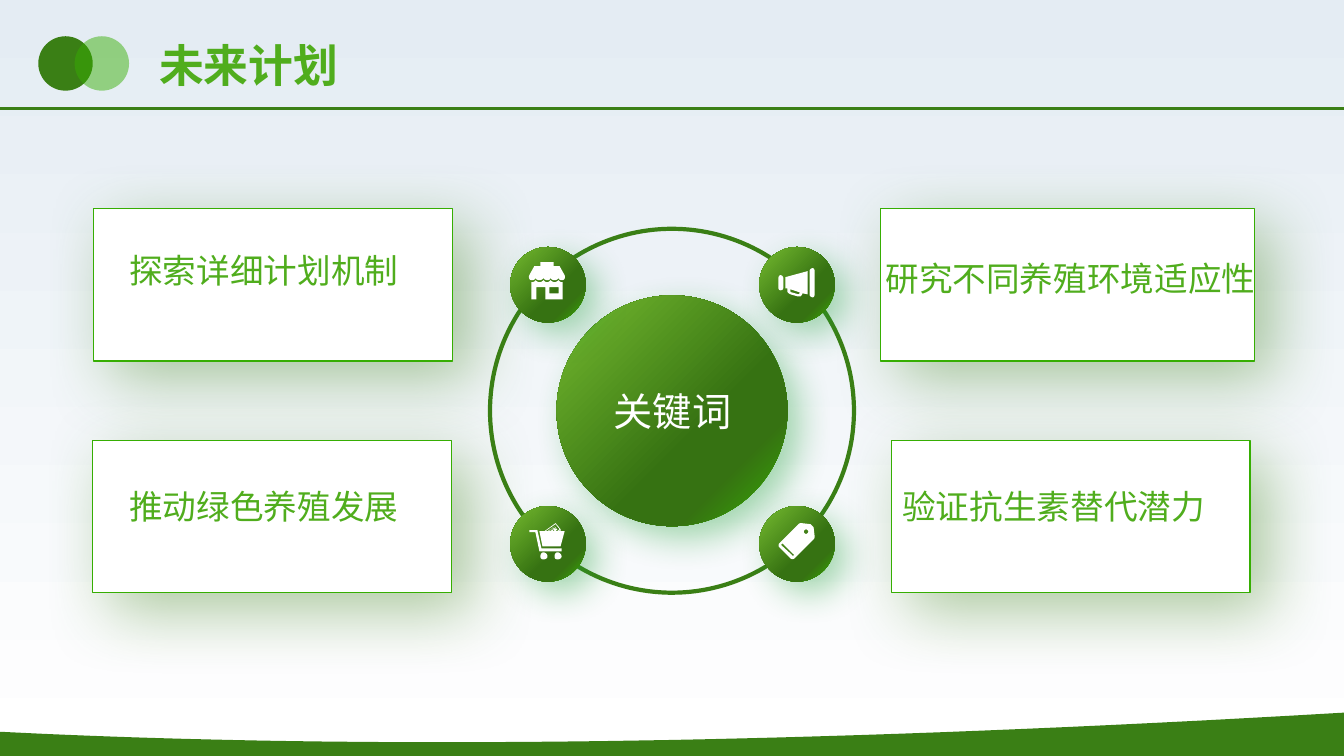
from dataclasses import dataclass
from typing import Optional

import pptx
import pptx.dml.color
import pptx.enum.shapes
import pptx.enum.text
import pptx.oxml.ns
import pptx.util
from lxml import etree
from pptx.util import Inches

OVAL = pptx.enum.shapes.MSO_SHAPE.OVAL
RECT = pptx.enum.shapes.MSO_SHAPE.RECTANGLE
ALIGN = pptx.enum.text.PP_ALIGN
qn = pptx.oxml.ns.qn


@dataclass(frozen=True)
class Theme:
    font: str = "Noto Sans CJK SC"
    dark: str = "3A7F15"
    bright: str = "36AE02"
    text: str = "50AD1D"
    white: str = "FFFFFF"
    sky: str = "E4ECF3"
    ball: tuple = ((0, "76BC30"), (60, "367212"), (76, "367212"), (100, "36AE02"))
    title: int = 32
    hub: int = 28
    body: int = 24


@dataclass(frozen=True)
class Shade:
    color: str
    blur: int
    dist: int


@dataclass(frozen=True)
class Card:
    left: float
    top: float
    width: float
    label: str
    text_left: float
    text_top: float
    text_width: float


@dataclass(frozen=True)
class Icon:
    """Rings are closed outlines in hundredths of an inch from left, top."""
    left: float
    top: float
    color: str
    rings: tuple


THEME = Theme()
GLOW = Shade("22A13A", 25, 12)
DROP = Shade(THEME.dark, 48, 18)

CARDS = (
    Card(0.93, 2.07, 3.56, "探索详细计划机制", 1.28, 2.48, 2.67),
    Card(0.92, 4.37, 3.56, "推动绿色养殖发展", 1.28, 4.82, 2.67),
    Card(8.73, 2.07, 3.71, "研究不同养殖环境适应性", 8.78, 2.56, 3.67),
    Card(8.84, 4.37, 3.56, "验证抗生素替代潜力", 8.95, 4.82, 3),
)

WAVE = Icon(0, 7.07, THEME.dark, (
    "1333 0 L 1333 43 0 43 0 19 C 278 33 688 38 1333 0",))
SHOP = Icon(5.24, 2.6, THEME.white, (
    "21 25 L 21 31 30 31 30 25",
    "7 18 C 8 19 10 20 11 20 13 20 14 19 15 18 16 19 17 20 19 20 "
    "20 20 21 19 22 18 23 19 25 20 26 20 27 20 29 19 30 18 31 19 32 20 33 20 "
    "L 34 20 34 37 17 37 17 25 8 25 8 37 3 37 3 20 4 20 C 5 20 7 19 7 18",
    "12 0 L 25 0 25 4 31 4 36 13 C 37 15 36 18 34 18 L 33 18 "
    "C 31 18 30 17 30 15 30 17 28 18 26 18 24 18 22 17 22 15 22 17 21 18 19 18 "
    "17 18 15 17 15 15 15 17 13 18 11 18 9 18 7 17 7 15 7 17 6 18 4 18 "
    "L 3 18 C 1 18 0 15 1 13 L 6 4 12 4"))
CART = Icon(5.25, 5.19, THEME.white, (
    "12 25 L 32 25 32 28 10 28 6 9 0 9 0 7 8 7",
    "14 29 C 12 29 11 31 11 33 11 35 12 36 14 36 16 36 18 35 18 33 18 31 16 29 14 29",
    "28 29 C 26 29 25 31 25 33 25 35 26 36 28 36 30 36 32 35 32 33 32 31 30 29 28 29",
    "13 23 L 10 8 15 8 26 0 31 6 31 8 35 8 31 23",
    "30 7 L 29 8 30 8",
    "16 8 L 19 8 19 7 20 8 20 6 21 8 22 8 21 6 23 8 22 5 24 8 25 8 23 5 23 4 "
    "26 8 28 8 30 6 26 1",
    "28 7 L 25 3 27 7",
    "27 7 L 24 4 26 8"))
TAG = Icon(7.72, 5.19, THEME.white, (
    "36 13 L 35 4 C 34 3 33 2 32 1 L 23 0 C 22 0 21 0 20 1 L 1 20 "
    "C 0 21 0 23 1 24 L 12 35 C 13 36 15 36 16 35 L 35 16 C 36 15 36 14 36 13",
    "15 32 C 15 33 14 33 14 32 L 3 22 3 21 C 4 20 5 20 5 21 L 15 31 C 16 31 16 32 15 32",
    "29 10 C 28 11 27 11 26 10 25 9 25 8 26 7 27 6 28 6 29 7 30 8 30 9 29 10"))
HORN = Icon(7.72, 2.66, THEME.white, (
    "12 21 L 12 23 C 12 23 12 24 13 24 L 20 26 C 20 26 21 25 21 25 L 21 24",
    "2 7 C 4 7 5 9 5 10 L 5 19 C 5 21 4 22 2 22 1 22 0 21 0 19 L 0 10 C 0 9 1 7 2 7",
    "29 3 L 29 26 24 25 C 24 26 23 27 22 28 21 28 20 28 19 28 L 12 26 "
    "C 10 25 9 24 9 23 L 9 20 7 20 7 9",
    "34 0 C 35 0 36 1 36 3 L 36 26 C 36 28 35 29 34 29 33 29 31 28 31 26 "
    "L 31 3 C 31 1 33 0 34 0"))


def rgb(color: str) -> pptx.dml.color.RGBColor:
    return pptx.dml.color.RGBColor.from_string(color)


def add_node(parent, tag: str, **attrs):
    return etree.SubElement(parent, qn(tag), {k: str(v) for k, v in attrs.items()})


def add_form(slide, kind, left: float, top: float, width: float, height: float,
             fill: Optional[str] = None, line: Optional[str] = None,
             weight: float = 1, shade: Optional[Shade] = None):
    form = slide.shapes.add_shape(
        kind, Inches(left), Inches(top), Inches(width), Inches(height))
    if fill:
        form.fill.solid()
        form.fill.fore_color.rgb = rgb(fill)
    else:
        form.fill.background()
    if line:
        form.line.color.rgb = rgb(line)
        form.line.width = pptx.util.Pt(weight)
    else:
        form.line.fill.background()
    form.shadow.inherit = False
    if shade:
        outer = add_node(form._element.spPr.find(qn("a:effectLst")), "a:outerShdw",
                         blurRad=pptx.util.Pt(shade.blur), dist=pptx.util.Pt(shade.dist),
                         dir=45 * 60000, algn="tl", rotWithShape=0)
        tint = add_node(outer, "a:srgbClr", val=shade.color)
        add_node(tint, "a:alpha", val=40000)
    return form


def add_ball(slide, left: float, top: float, size: float) -> None:
    """Draw a glowing disc shaded from its top left corner."""
    ball = add_form(slide, OVAL, left, top, size, size, shade=GLOW)
    ball.fill.gradient()
    grad = ball._element.spPr.find(qn("a:gradFill"))
    for child in list(grad):
        grad.remove(child)
    stops = add_node(grad, "a:gsLst")
    for pos, color in THEME.ball:
        add_node(add_node(stops, "a:gs", pos=pos * 1000), "a:srgbClr", val=color)
    add_node(add_node(grad, "a:path", path="circle"), "a:fillToRect", r=100000, b=100000)


def add_text(slide, text: str, left: float, top: float, width: float, height: float,
             size: int, color: str, align=ALIGN.LEFT, bold: bool = False,
             inset: bool = False) -> None:
    box = slide.shapes.add_textbox(
        Inches(left), Inches(top), Inches(width), Inches(height))
    frame = box.text_frame
    frame.word_wrap = False
    frame.auto_size = pptx.enum.text.MSO_AUTO_SIZE.SHAPE_TO_FIT_TEXT
    if not inset:
        frame.margin_left = frame.margin_right = 0
        frame.margin_top = frame.margin_bottom = 0
    para = frame.paragraphs[0]
    para.text = text
    para.alignment = align
    font = para.font
    font.size, font.bold, font.name = pptx.util.Pt(size), bold, THEME.font
    font.color.rgb = rgb(color)
    add_node(para._p.pPr.find(qn("a:defRPr")), "a:ea", typeface=THEME.font)


def trace(ring: str, icon: Icon, steps: int) -> list:
    """Turn a ring of lines (L) and cubic curves (C) into points."""
    nums = ring.replace("L", "|L").replace("C", "|C").split("|")
    points = [tuple(map(int, nums[0].split()))]
    for run in nums[1:]:
        vals = list(map(int, run[1:].split()))
        pairs = list(zip(vals[::2], vals[1::2]))
        if run[0] == "L":
            points += pairs
            continue
        for i in range(0, len(pairs), 3):
            knots = list(zip(points[-1], *pairs[i:i + 3]))
            for t in (n / steps for n in range(1, steps + 1)):
                u = 1 - t
                points.append(tuple(
                    a * u**3 + 3 * b * u * u * t + 3 * c * u * t * t + d * t**3
                    for a, b, c, d in knots))
    return [(Inches(icon.left + x / 100), Inches(icon.top + y / 100)) for x, y in points]


def add_icon(slide, icon: Icon, steps: int = 6) -> None:
    first, *rest = [trace(ring, icon, steps) for ring in icon.rings]
    pen = slide.shapes.build_freeform(*first[0])
    pen.add_line_segments(first[1:], close=True)
    for points in rest:
        pen.move_to(*points[0])
        pen.add_line_segments(points[1:], close=True)
    form = pen.convert_to_shape()
    form.fill.solid()
    form.fill.fore_color.rgb = rgb(icon.color)
    form.line.fill.background()
    form.shadow.inherit = False


def add_head(slide) -> None:
    add_text(slide, "未来计划", 1.48, 0.33, 1.98, 0.64, THEME.title, THEME.text,
             bold=True, inset=True)
    add_form(slide, OVAL, 0.38, 0.36, 0.54, 0.54, THEME.dark)
    veil = add_form(slide, OVAL, 0.74, 0.36, 0.54, 0.54, THEME.bright)
    add_node(veil._element.spPr.find(".//" + qn("a:srgbClr")), "a:alpha", val=48000)
    rule = slide.shapes.add_connector(pptx.enum.shapes.MSO_CONNECTOR.STRAIGHT,
                                      0, Inches(1.08), Inches(13.33), Inches(1.08))
    rule.line.color.rgb = rgb(THEME.dark)
    rule.line.width = pptx.util.Pt(2)
    add_node(rule._element.spPr, "a:effectLst")


def main() -> None:
    deck = pptx.Presentation()
    deck.slide_width, deck.slide_height = Inches(13.33), Inches(7.5)
    slide = deck.slides.add_slide(deck.slide_layouts[6])
    back = slide.background.fill
    back.gradient()
    back.gradient_angle = 270
    for stop, color in zip(back.gradient_stops, (THEME.sky, THEME.white)):
        stop.color.rgb = rgb(color)

    add_icon(slide, WAVE, steps=40)
    add_head(slide)
    add_ball(slide, 5.52, 2.93, 2.29)
    add_text(slide, "关键词", 6.08, 3.84, 1.18, 0.47, THEME.hub, THEME.white, ALIGN.CENTER)
    add_form(slide, OVAL, 4.86, 2.27, 3.61, 3.61, line=THEME.dark, weight=3)
    for top in (2.45, 5.02):
        for left in (5.06, 7.53):
            add_ball(slide, left, top, 0.75)
    for icon in (SHOP, CART, TAG, HORN):
        add_icon(slide, icon)
    for card in CARDS:
        add_form(slide, RECT, card.left, card.top, card.width, 1.51,
                 THEME.white, THEME.bright, shade=DROP)
        add_text(slide, card.label, card.text_left, card.text_top, card.text_width, 0.4,
                 THEME.body, THEME.text, ALIGN.RIGHT)
    deck.save("out.pptx")


if __name__ == "__main__":
    main()
